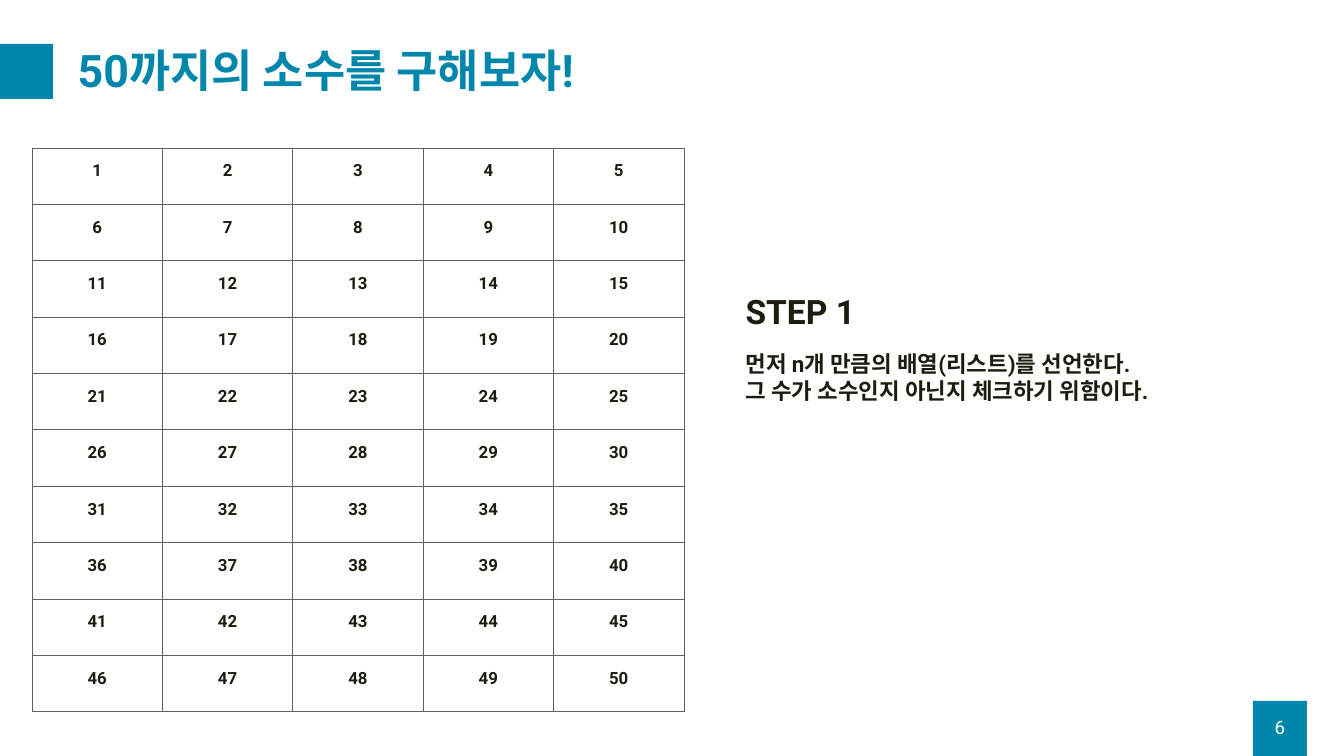
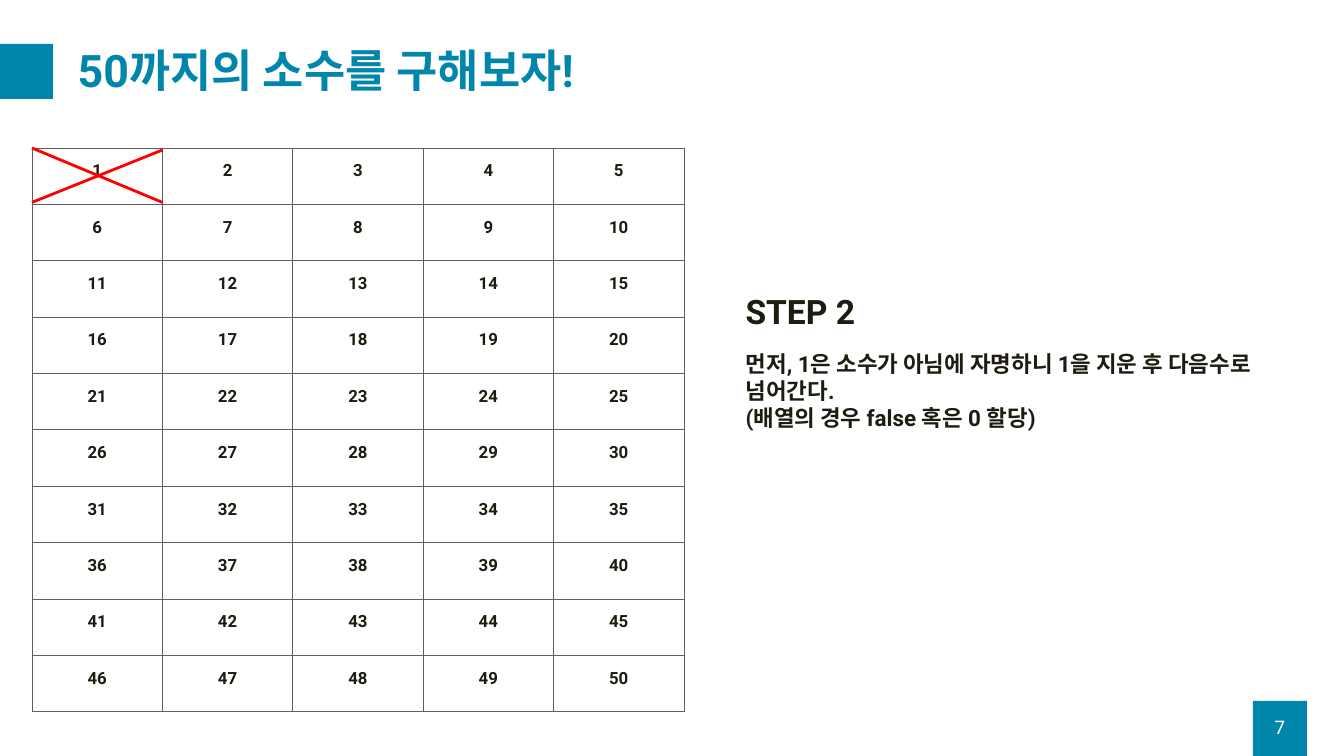
import pptx
import pptx.dml.color
import pptx.enum.shapes
import pptx.enum.text
import pptx.oxml
import pptx.oxml.ns
import pptx.util

PX = 914400 / 67.2
WIDE, HIGH = 1344, 756
FONT = "Roboto"
COLS, ROWS = 5, 10
HUES = {"teal": "0086AB", "ink": "1E1C11", "grid": "5F5F5F",
        "white": "FFFFFF", "red": "FF0000"}
TITLE = "50까지의 소수를 구해보자!"
ALIGN = pptx.enum.text.PP_ALIGN
ANCHOR = pptx.enum.text.MSO_ANCHOR
FIT = pptx.enum.text.MSO_AUTO_SIZE

STEPS = [
    (6, "STEP 1", ["먼저 n개 만큼의 배열(리스트)를 선언한다.",
                   "그 수가 소수인지 아닌지 체크하기 위함이다."], []),
    (7, "STEP 2", ["먼저, 1은 소수가 아님에 자명하니 1을 지운 후 다음수로",
                   "넘어간다.",
                   "(배열의 경우 false 혹은 0 할당)"], [1]),
]


def emu(*vals):
    return [pptx.util.Emu(round(val * PX)) for val in vals]


def hue(name):
    return pptx.dml.color.RGBColor.from_string(HUES[name])


def write(frame, lines, size, tint, bold=True, align=ALIGN.LEFT, gap=None):
    """Fill a text frame and give every line the same style."""
    frame.text = "\n".join(lines)
    for para in frame.paragraphs:
        para.alignment = align
        if gap:
            para.line_spacing = gap
        for run in para.runs:
            run.font.name = FONT
            run.font.size = pptx.util.Pt(size)
            run.font.bold = bold
            run.font.color.rgb = hue(tint)


def label(slide, box, lines, size, tint="ink", **style):
    frame = slide.shapes.add_textbox(*emu(*box)).text_frame
    frame.word_wrap = True
    write(frame, lines, size, tint, **style)
    return frame


def block(slide, box):
    kind = pptx.enum.shapes.MSO_SHAPE.RECTANGLE
    shape = slide.shapes.add_shape(kind, *emu(*box))
    shape.shadow.inherit = False
    shape.fill.solid()
    shape.fill.fore_color.rgb = hue("teal")
    shape.line.fill.background()


def header(slide, box):
    """Teal tab at the left edge and the slide title."""
    left, top, width, height = box
    block(slide, (left, top + 10, 54, 55))
    title = slide.shapes.title
    title.left, title.top, title.width, title.height = emu(
        left + 72, top, width - 72, height)
    frame = title.text_frame
    frame.auto_size = FIT.NONE
    frame.vertical_anchor = ANCHOR.MIDDLE
    write(frame, [TITLE], 48, "teal", gap=0.9)


def footer(slide, box, page):
    """Page number on a teal block."""
    left, top, width, height = box
    block(slide, box)
    frame = label(slide, (left, top + 6, width, 40), [str(page)], 20,
                  "white", bold=False, align=ALIGN.CENTER)
    frame.vertical_anchor = ANCHOR.MIDDLE


def border(cell):
    props = cell._tc.get_or_add_tcPr()
    for side in "LRTB":
        props.append(pptx.oxml.parse_xml(
            f'<a:ln{side} {pptx.oxml.ns.nsdecls("a")} w="12700"><a:solidFill>'
            f'<a:srgbClr val="{HUES["grid"]}"/></a:solidFill></a:ln{side}>'))


def numbers(slide, box, struck):
    """Grid of the numbers 1 to 50, with the struck ones crossed out."""
    left, top, width, height = box
    wide, high = width / COLS, height / ROWS
    table = slide.shapes.add_table(ROWS, COLS, *emu(*box)).table
    table.first_row = table.horz_banding = False
    for col in table.columns:
        col.width = emu(wide)[0]
    for row in table.rows:
        row.height = emu(high)[0]
    for num, cell in enumerate(table.iter_cells(), 1):
        border(cell)
        cell.fill.background()
        write(cell.text_frame, [str(num)], 18, "ink",
              align=ALIGN.CENTER, gap=1.5)
    for num in struck:
        row, col = divmod(num - 1, COLS)
        cross(slide, (left + col * wide, top + row * high, wide, high))


def cross(slide, box):
    """Two red diagonals, kept just above the lower border."""
    left, top, width, height = box
    low = top + height - 2
    for start, end in ((low, top + 2), (top, low)):
        line = slide.shapes.add_connector(
            pptx.enum.shapes.MSO_CONNECTOR.STRAIGHT,
            *emu(left, start, left + width, end))
        line.line.color.rgb = hue("red")
        line.line.width = pptx.util.Pt(3)
        line._element.spPr.append(pptx.oxml.parse_xml(
            f'<a:effectLst {pptx.oxml.ns.nsdecls("a")}/>'))


def step(slide, box, name, lines):
    """Step heading with its explanation below."""
    left, top, width, height = box
    label(slide, (left, top, width, 48), [name], 36)
    label(slide, (left, top + 59, width, height - 59), lines, 24)


def build(deck, page, name, lines, struck):
    slide = deck.slides.add_slide(deck.slide_layouts.get_by_name("Title Only"))
    header(slide, (-1, 34, 1299, 79))
    footer(slide, (1253, 701, 54, 55), page)
    numbers(slide, (32, 148, 652, 564), struck)
    step(slide, (739, 288, 567, 66 + 27 * len(lines)), name, lines)


def main():
    deck = pptx.Presentation()
    deck.slide_width, deck.slide_height = emu(WIDE, HIGH)
    for item in STEPS:
        build(deck, *item)
    deck.save("out.pptx")


if __name__ == "__main__":
    main()
